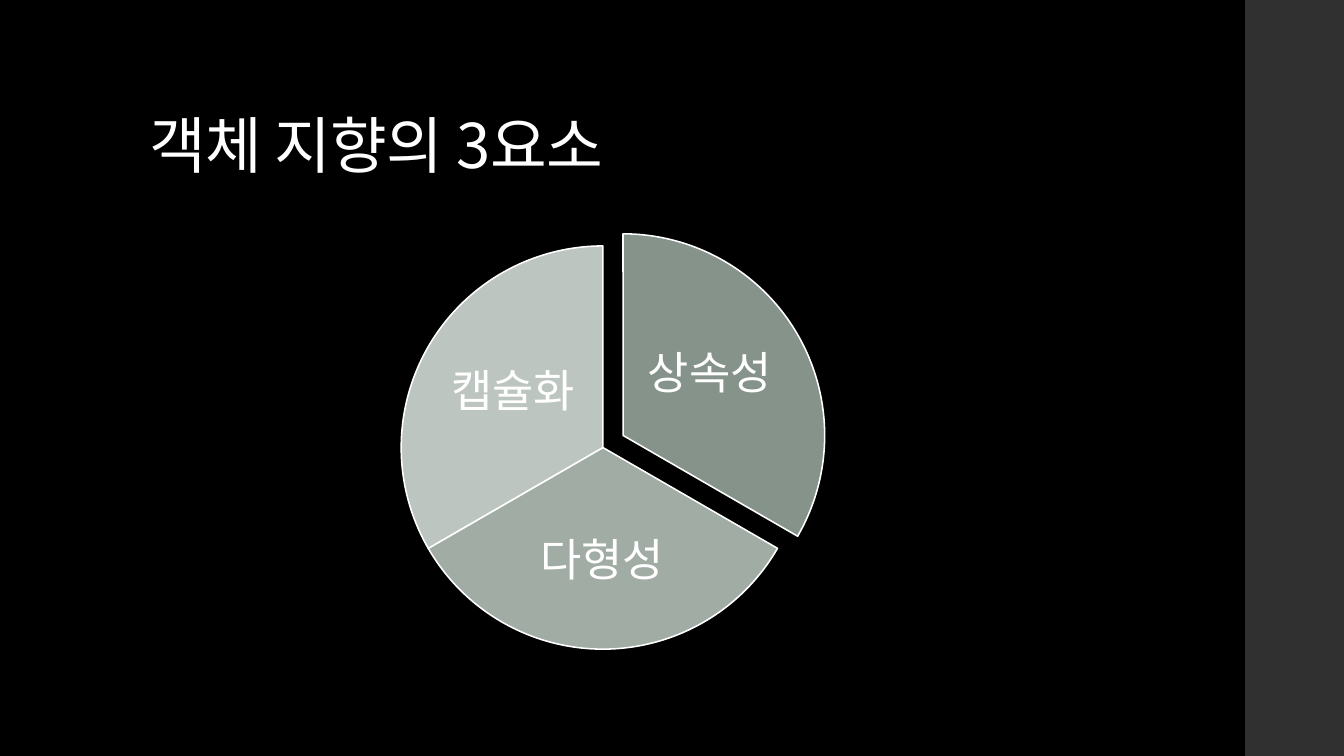
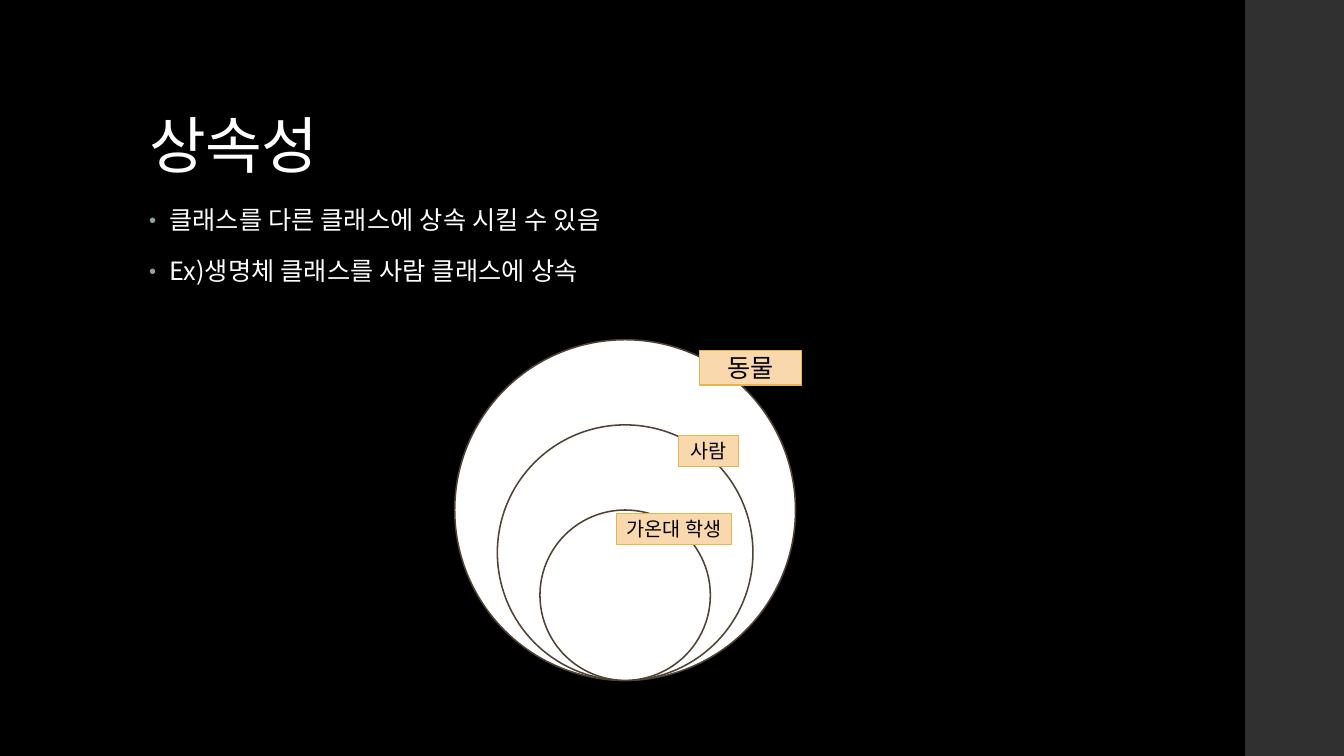
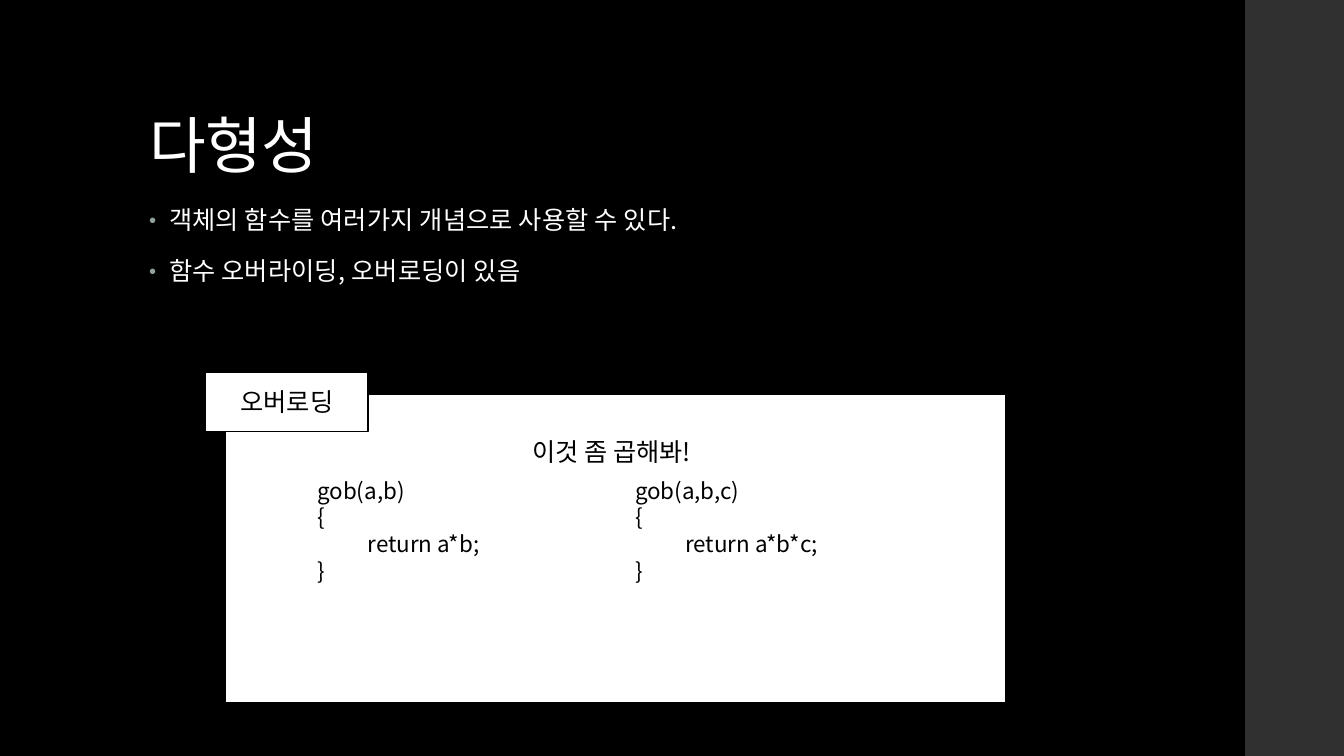
from lxml import etree
from pptx import Presentation
from pptx.dml.color import RGBColor
from pptx.enum import shapes, text
from pptx.oxml import ns
from pptx.util import Inches, Pt

FONT = "Noto Sans CJK KR"
BLACK = RGBColor(0x00, 0x00, 0x00)
WHITE = RGBColor(0xFF, 0xFF, 0xFF)
BAND = RGBColor(0x30, 0x30, 0x30)
SAGE = [RGBColor(0x85, 0x93, 0x8B), RGBColor(0xA1, 0xAC, 0xA5), RGBColor(0xBD, 0xC5, 0xC0)]
BROWN = RGBColor(0x4E, 0x44, 0x36)
PEACH = RGBColor(0xF8, 0xD8, 0xAC)
AMBER = RGBColor(0xE8, 0xB5, 0x4D)
LEFT, CENTER = text.PP_ALIGN.LEFT, text.PP_ALIGN.CENTER
MIDDLE = text.MSO_ANCHOR.MIDDLE
RECT = shapes.MSO_SHAPE.RECTANGLE


def add_text(p, content, size, color=BLACK, align=LEFT, spacing=None):
    p.alignment = align
    r = p.add_run()
    r.text = content
    r.font.size = Pt(size)
    r.font.name = FONT
    r.font.color.rgb = color
    rpr = r.font._element
    etree.SubElement(rpr, ns.qn("a:ea"), typeface=FONT)
    if spacing:
        rpr.set("spc", str(spacing))


def add_box(s, kind, box, fill, line=None, width=1.1):
    sp = s.shapes.add_shape(kind, *map(Inches, box))
    sp.shadow.inherit = False
    sp.fill.solid()
    sp.fill.fore_color.rgb = fill
    if line is None:
        sp.line.fill.background()
    else:
        sp.line.color.rgb = line
        sp.line.width = Pt(width)
    sp.text_frame.vertical_anchor = MIDDLE
    return sp


prs = Presentation()
prs.slide_width, prs.slide_height = Inches(13.33), Inches(7.5)
master = prs.slide_master
master.background.fill.solid()
master.background.fill.fore_color.rgb = BLACK
layout = prs.slide_layouts[5]

contents = [
    ("객체 지향의 3요소", []),
    ("상속성", ["클래스를 다른 클래스에 상속 시킬 수 있음", "Ex)생명체 클래스를 사람 클래스에 상속"]),
    ("다형성", ["객체의 함수를 여러가지 개념으로 사용할 수 있다.", "함수 오버라이딩, 오버로딩이 있음"]),
]
for title, bullets in contents:
    s = prs.slides.add_slide(layout)
    sp = s.shapes.title
    sp.left, sp.top, sp.width, sp.height = map(Inches, (1.38, 0.4, 10.6, 1.45))
    tf = sp.text_frame
    tf.auto_size = text.MSO_AUTO_SIZE.NONE
    tf.vertical_anchor = text.MSO_ANCHOR.BOTTOM
    p = tf.paragraphs[0]
    p.line_spacing = 0.9
    add_text(p, title, 44, WHITE, spacing=-50)
    if not bullets:
        continue
    tf = s.shapes.add_textbox(*map(Inches, (1.38, 2, 9.63, 1.01))).text_frame
    tf.word_wrap = True
    for i, bullet in enumerate(bullets):
        p = tf.add_paragraph() if i else tf.paragraphs[0]
        p.line_spacing = 0.95
        p.space_before, p.space_after = Pt(14), Pt(2)
        add_text(p, bullet, 18, WHITE, spacing=10)
        ppr = p._p.get_or_add_pPr()
        ppr.set("marL", str(Inches(0.2)))
        ppr.set("indent", str(Inches(-0.2)))
        color = etree.SubElement(ppr, ns.qn("a:buClr"))
        etree.SubElement(color, ns.qn("a:srgbClr"), val="93A299")
        etree.SubElement(ppr, ns.qn("a:buSzPct"), val="80000")
        etree.SubElement(ppr, ns.qn("a:buFont"), typeface="Arial")
        etree.SubElement(ppr, ns.qn("a:buChar"), char="•")

elements, inheritance, polymorphism = prs.slides

band = add_box(elements, RECT, (12.35, 0, 1, 7.5), BAND)
master.shapes.element.insert(2, band.element)

slices = [
    ("상속성", (4.18, 2.32), (162, 18), (6.36, 3.06, 1.36, 1.33)),
    ("다형성", (3.98, 2.44), (18, 90), (5.07, 4.96, 1.81, 1.24)),
    ("캡슐화", (3.98, 2.44), (90, 162), (4.41, 3.23, 1.36, 1.33)),
]
for (label, corner, angles, box), fill in zip(slices, SAGE):
    sp = add_box(elements, shapes.MSO_SHAPE.PIE, (*corner, 4, 4), fill, WHITE)
    sp.adjustments[0], sp.adjustments[1] = angles
    tf = elements.shapes.add_textbox(*map(Inches, box)).text_frame
    tf.word_wrap = True
    tf.vertical_anchor = MIDDLE
    tf.margin_left = tf.margin_right = tf.margin_top = tf.margin_bottom = Inches(0.04)
    p = tf.paragraphs[0]
    p.line_spacing = 0.9
    add_text(p, label, 32, WHITE, CENTER)

center, bottom = 6.2, 6.75
for scale in (1, 0.75, 0.5):
    d = 3.38 * scale
    add_box(inheritance, shapes.MSO_SHAPE.OVAL, (center - d / 2, bottom - d, d, d), WHITE, BROWN)

tags = [
    ("동물", 18, (6.94, 3.48, 1.01, 0.34)),
    ("사람", 14, (6.73, 4.32, 0.6, 0.31)),
    ("가온대 학생", 14, (6.11, 5.09, 1.15, 0.31)),
]
for label, size, box in tags:
    sp = add_box(inheritance, RECT, box, PEACH, AMBER, 0.75)
    add_text(sp.text_frame.paragraphs[0], label, size, align=CENTER)

add_box(polymorphism, RECT, (2.23, 3.91, 7.75, 3.06), WHITE, BLACK)
sp = add_box(polymorphism, RECT, (2.04, 3.69, 1.61, 0.59), WHITE, BLACK)
add_text(sp.text_frame.paragraphs[0], "오버로딩", 18, align=CENTER)

tf = polymorphism.shapes.add_textbox(*map(Inches, (5.18, 4.28, 1.75, 0.4))).text_frame
tf.word_wrap = False
tf.auto_size = text.MSO_AUTO_SIZE.SHAPE_TO_FIT_TEXT
add_text(tf.paragraphs[0], "이것 좀 곱해봐!", 18)

for left, args, product in ((3.05, "a,b", "a*b"), (6.2, "a,b,c", "a*b*c")):
    tf = polymorphism.shapes.add_textbox(*map(Inches, (left, 4.68, 2.87, 1.18))).text_frame
    tf.word_wrap = True
    for i, code in enumerate((f"gob({args})", "{", f"return {product};", "}")):
        p = tf.add_paragraph() if i else tf.paragraphs[0]
        add_text(p, code, 16)
        if code.startswith("return"):
            p._p.get_or_add_pPr().set("marL", str(Inches(0.5)))

prs.save("out.pptx")
